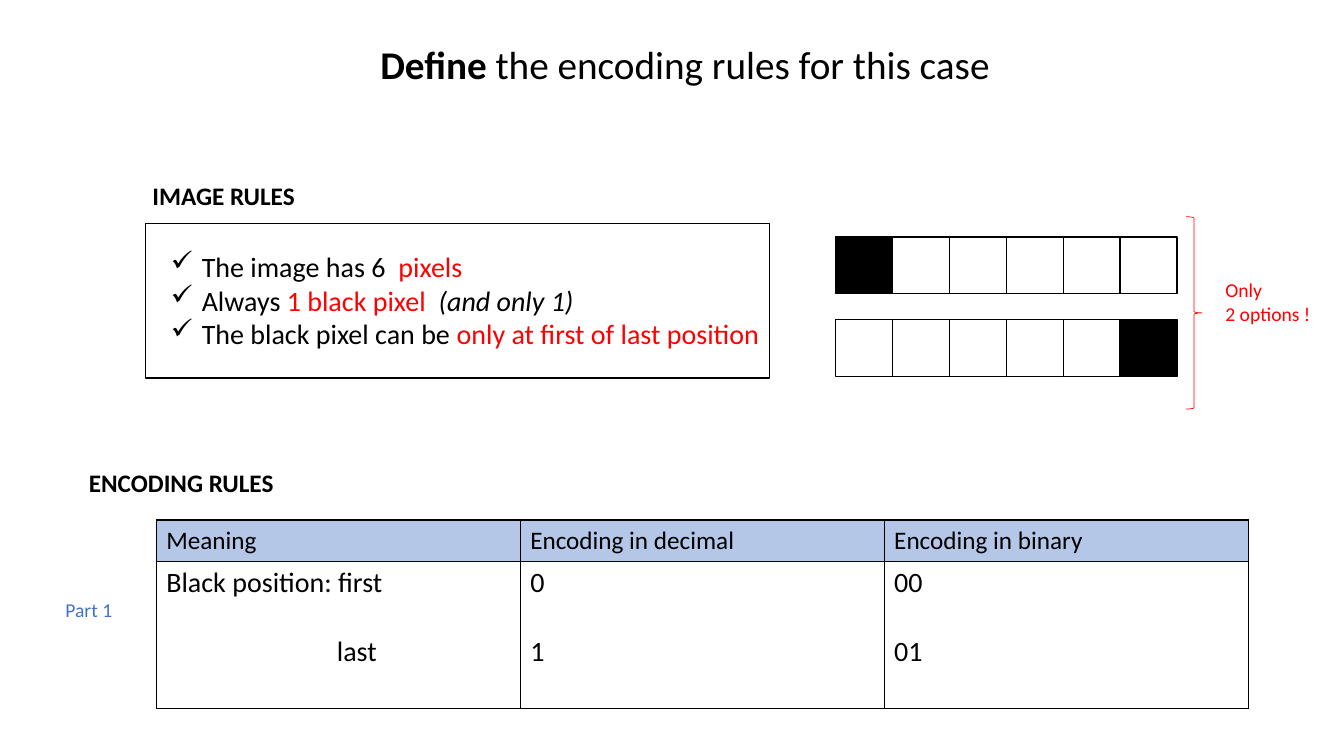
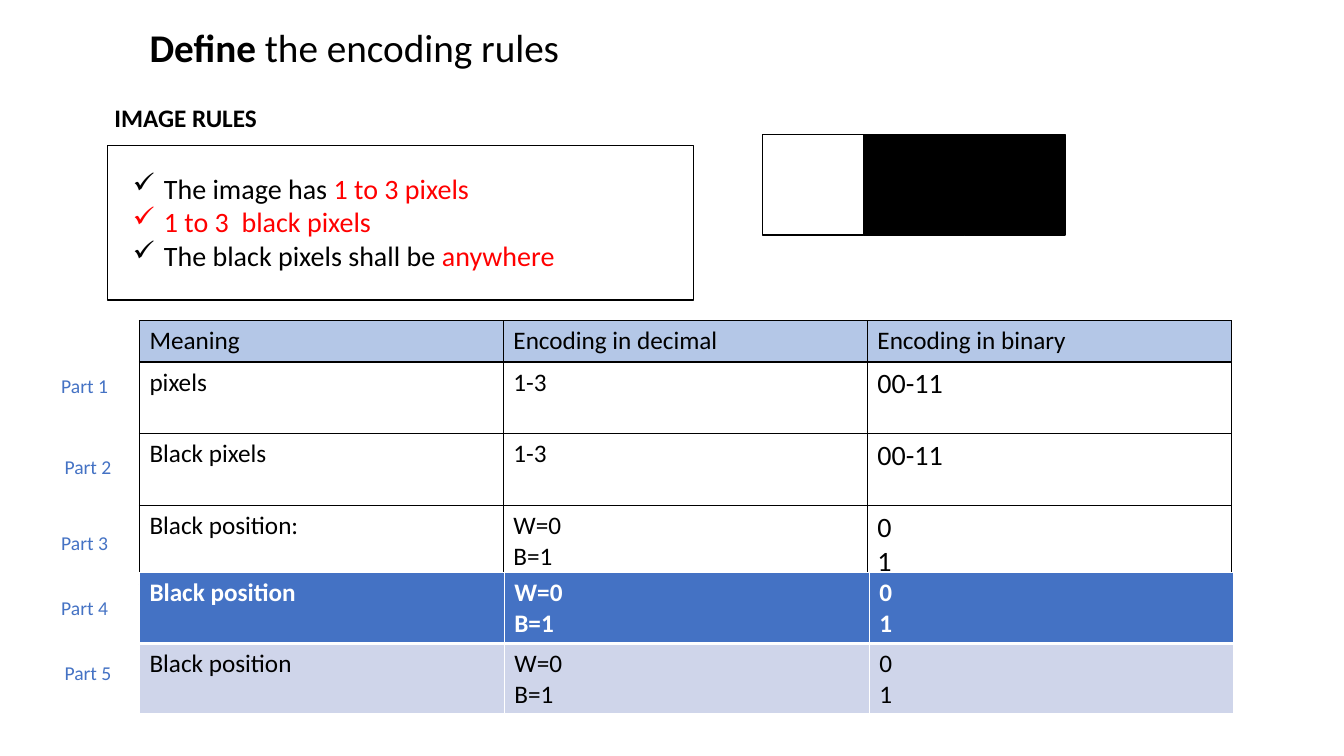
from dataclasses import dataclass

from lxml import etree
from pptx import Presentation
from pptx.dml.color import RGBColor
from pptx.enum.shapes import MSO_SHAPE
from pptx.enum.text import MSO_ANCHOR, MSO_AUTO_SIZE, PP_ALIGN
from pptx.oxml.ns import qn
from pptx.util import Inches, Pt

RECTANGLE, BRACE = MSO_SHAPE.RECTANGLE, MSO_SHAPE.RIGHT_BRACE
LEFT, CENTER = PP_ALIGN.LEFT, PP_ALIGN.CENTER
TOP, MIDDLE = MSO_ANCHOR.TOP, MSO_ANCHOR.MIDDLE
NO_FIT = MSO_AUTO_SIZE.NONE

BLACK = RGBColor(0x00, 0x00, 0x00)
WHITE = RGBColor(0xFF, 0xFF, 0xFF)
RED = RGBColor(0xFF, 0x00, 0x00)
BLUE = RGBColor(0x44, 0x72, 0xC4)
LIGHT_BLUE = RGBColor(0xB4, 0xC7, 0xE7)
PALE_BLUE = RGBColor(0xCF, 0xD5, 0xEA)

FONT = "Calibri"
WIDTH, HEIGHT = Inches(13.333), Inches(7.5)
COLUMNS, ROWS = 160, 90
LINE_HEIGHT = 4.1
TABLE_COLUMN = 43.33


@dataclass
class TableRow:
    """Content and look of one table row; edges are (left, right, top, bottom) widths."""
    texts: tuple
    height: float
    sizes: tuple = (18, 18, 18)
    fill: RGBColor = None
    color: RGBColor = BLACK
    bold: bool = False
    edge_color: RGBColor = BLACK
    edges: tuple = (1, 1, 1, 1)


HEADER = TableRow(("Meaning", "Encoding in decimal", "Encoding in binary"), 4.9, fill=LIGHT_BLUE)


def across(columns):
    """Turn grid columns into a length."""
    return round(WIDTH * columns / COLUMNS)


def down(rows):
    """Turn grid rows into a length."""
    return round(HEIGHT * rows / ROWS)


def box(left, top, width, height):
    """Turn a grid box into lengths."""
    return across(left), down(top), across(width), down(height)


def place(shape, left, top, width, height):
    """Move a placeholder to a grid box."""
    shape.left, shape.top, shape.width, shape.height = box(left, top, width, height)


def format_run(run, size, color=BLACK, bold=False, italic=False):
    """Set the font of one run."""
    font = run.font
    font.name, font.size, font.bold, font.italic = FONT, Pt(size), bold, italic
    font.color.rgb = color


def format_frame(text_frame, size, color=BLACK, bold=False):
    """Set the font of all the text in a frame."""
    for paragraph in text_frame.paragraphs:
        for run in paragraph.runs:
            format_run(run, size, color, bold)


def set_indent(paragraph, margin, first_line=0):
    """Set left margin and first-line indent."""
    properties = paragraph._p.get_or_add_pPr()
    properties.set("marL", str(margin))
    properties.set("indent", str(first_line))
    return properties


def add_title(slide, strong, rest, left, top, width, alignment):
    """Fill the title placeholder, its first word bold."""
    title = slide.shapes.title
    place(title, left, top, width, 6.8)
    frame = title.text_frame
    frame.auto_size, frame.vertical_anchor, frame.word_wrap = NO_FIT, MIDDLE, True
    paragraph = frame.paragraphs[0]
    paragraph.alignment = alignment
    for text, bold in ((strong, True), (rest, False)):
        run = paragraph.add_run()
        run.text = text
        format_run(run, 28, bold=bold)


def add_label(slide, text, left, top, width, height, size, color=BLACK, bold=False):
    """Add a short unwrapped text."""
    label = slide.shapes.add_textbox(*box(left, top, width, height))
    frame = label.text_frame
    frame.word_wrap = False
    frame.text = text
    format_frame(frame, size, color, bold)


def add_heading(slide, text, left, top, width):
    """Add a bold section heading."""
    add_label(slide, text, left, top, width, 4.8, 18, bold=True)


def add_part(slide, number, left, top):
    """Add the label of a table part."""
    add_label(slide, f"Part {number}", left, top, 8, LINE_HEIGHT, 14, BLUE)


def add_outline(slide, kind, left, top, width, height, color=BLACK, weight=1, fill=None):
    """Add a preset shape with a plain line and an optional fill."""
    shape = slide.shapes.add_shape(kind, *box(left, top, width, height))
    shape.shadow.inherit = False
    shape.line.color.rgb = color
    shape.line.width = Pt(weight)
    if fill is None:
        shape.fill.background()
    else:
        shape.fill.solid()
        shape.fill.fore_color.rgb = fill


def add_pixels(slide, pattern, left, top, size):
    """Draw a row of pixels from a pattern of B and W."""
    for index, letter in enumerate(pattern):
        fill = BLACK if letter == "B" else WHITE
        add_outline(slide, RECTANGLE, left + index * size, top, size, size, fill=fill)


def add_checklist(slide, items, left, top, width):
    """Fill the body placeholder with ticked items made of formatted runs."""
    body = slide.placeholders[1]
    place(body, left, top, width, 13.3)
    frame = body.text_frame
    frame.auto_size, frame.vertical_anchor, frame.word_wrap = NO_FIT, TOP, True
    for index, item in enumerate(items):
        paragraph = frame.add_paragraph() if index else frame.paragraphs[0]
        paragraph.space_before = Pt(0)
        properties = set_indent(paragraph, Inches(0.31), -Inches(0.31))
        etree.SubElement(properties, qn("a:buFont"), typeface="Wingdings")
        etree.SubElement(properties, qn("a:buChar"), char="\u00FC")
        for text, color, italic in item:
            run = paragraph.add_run()
            run.text = text
            format_run(run, 20, color, italic=italic)


def add_image_rules(slide, items, left, top, width):
    """Add heading, frame and checklist of the image rules."""
    add_heading(slide, "IMAGE RULES", left - 0.35, top - 5.75, 19.6)
    add_outline(slide, RECTANGLE, left, top, width, 18.4)
    add_checklist(slide, items, left + 1.8, top + 2.5, width - 1)


def set_borders(cell, color, widths):
    """Draw the four borders of a cell."""
    properties = cell._tc.get_or_add_tcPr()
    for side, width in zip("LRTB", widths):
        line = etree.SubElement(properties, qn(f"a:ln{side}"), w=str(Pt(width)))
        fill = etree.SubElement(line, qn("a:solidFill"))
        etree.SubElement(fill, qn("a:srgbClr"), val=str(color))


def add_table(slide, rows, left, top, column=TABLE_COLUMN):
    """Add a table of equal columns and return it."""
    count = len(rows[0].texts)
    height = sum(row.height for row in rows)
    frame = slide.shapes.add_table(len(rows), count, *box(left, top, column * count, height))
    table = frame.table
    table.first_row = table.horz_banding = False
    for row_index, row in enumerate(rows):
        table.rows[row_index].height = down(row.height)
        for column_index, text in enumerate(row.texts):
            cell = table.cell(row_index, column_index)
            cell.text = text
            format_frame(cell.text_frame, row.sizes[column_index], row.color, row.bold)
            set_borders(cell, row.edge_color, row.edges)
            if row.fill is None:
                cell.fill.background()
            else:
                cell.fill.solid()
                cell.fill.fore_color.rgb = row.fill
    return table


def build_fixed_case(presentation):
    """Build the slide on the case with two options."""
    slide = presentation.slides.add_slide(presentation.slide_layouts[1])
    add_title(slide, "Define", " the encoding rules for this case", 36, 4.2, 91.1, CENTER)
    add_image_rules(slide, (
        (("The image has 6  ", BLACK, False), ("pixels", RED, False)),
        (("Always ", BLACK, False), ("1 black pixel  ", RED, False), ("(and only 1)", BLACK, True)),
        (("The black pixel can be ", BLACK, False),
         ("only at first of last position", RED, False)),
    ), 17.3, 26.6, 74.3)
    for index, pattern in enumerate(("BWWWWW", "WWWWWB")):
        add_pixels(slide, pattern, 99.5, 28.2 + index * 9.85, 6.77)
    add_outline(slide, BRACE, 141.2, 25.8, 1.9, 22.9, RED, 0.5)
    add_label(slide, "Only\n2 options !", 144.7, 32.5, 12.6, 6.8, 14, RED)

    add_heading(slide, "ENCODING RULES", 9.4, 55.1, 24.7)
    positions = TableRow(("Black position: first\nlast", "0\n1", "00\n01"), 17.5, (20, 20, 20))
    table = add_table(slide, (HEADER, positions), 18.6, 61.9)
    for cell in table.rows[1].cells:
        cell.text_frame.paragraphs[1].space_before = Pt(24.4)
    set_indent(table.cell(1, 0).text_frame.paragraphs[1], across(20.3))
    add_part(slide, 1, 6.6, 70.6)


def build_general_case(presentation):
    """Build the slide on the rules for one to three pixels."""
    slide = presentation.slides.add_slide(presentation.slide_layouts[1])
    add_title(slide, "Define", " the encoding rules", 16.6, 2.2, 54, LEFT)
    add_image_rules(slide, (
        (("The image has ", BLACK, False), ("1 to 3 pixels", RED, False)),
        (("1 to 3  black pixels", RED, False),),
        (("The black pixels shall be ", BLACK, False), ("anywhere", RED, False)),
    ), 12.8, 17.3, 69.8)
    add_pixels(slide, "WBB", 90.8, 16, 12)

    mixed = (18, 18, 20)
    add_table(slide, (
        HEADER,
        TableRow(("pixels", "1-3", "00-11"), 8.55, mixed),
        TableRow(("Black pixels", "1-3", "00-11"), 8.55, mixed),
        TableRow(("Black position:", "W=0\nB=1", "0\n1"), 9.35, mixed),
    ), 16.6, 38.2)
    position = ("Black position", "W=0\nB=1", "0\n1")
    add_table(slide, (
        TableRow(position, 8.4, fill=BLUE, color=WHITE, bold=True,
                 edge_color=WHITE, edges=(1, 1, 1, 3)),
        TableRow(position, 8.4, fill=PALE_BLUE, edge_color=WHITE, edges=(1, 1, 3, 1)),
    ), 16.6, 68.2, 43.44)
    part_places = ((6.1, 43.9), (6.5, 53.6), (6.1, 62.6), (6.1, 70.3), (6.5, 78.1))
    for number, (left, top) in enumerate(part_places, 1):
        add_part(slide, number, left, top)


def main():
    """Build and save the presentation."""
    presentation = Presentation()
    presentation.slide_width, presentation.slide_height = WIDTH, HEIGHT
    build_fixed_case(presentation)
    build_general_case(presentation)
    presentation.save("out.pptx")


main()
